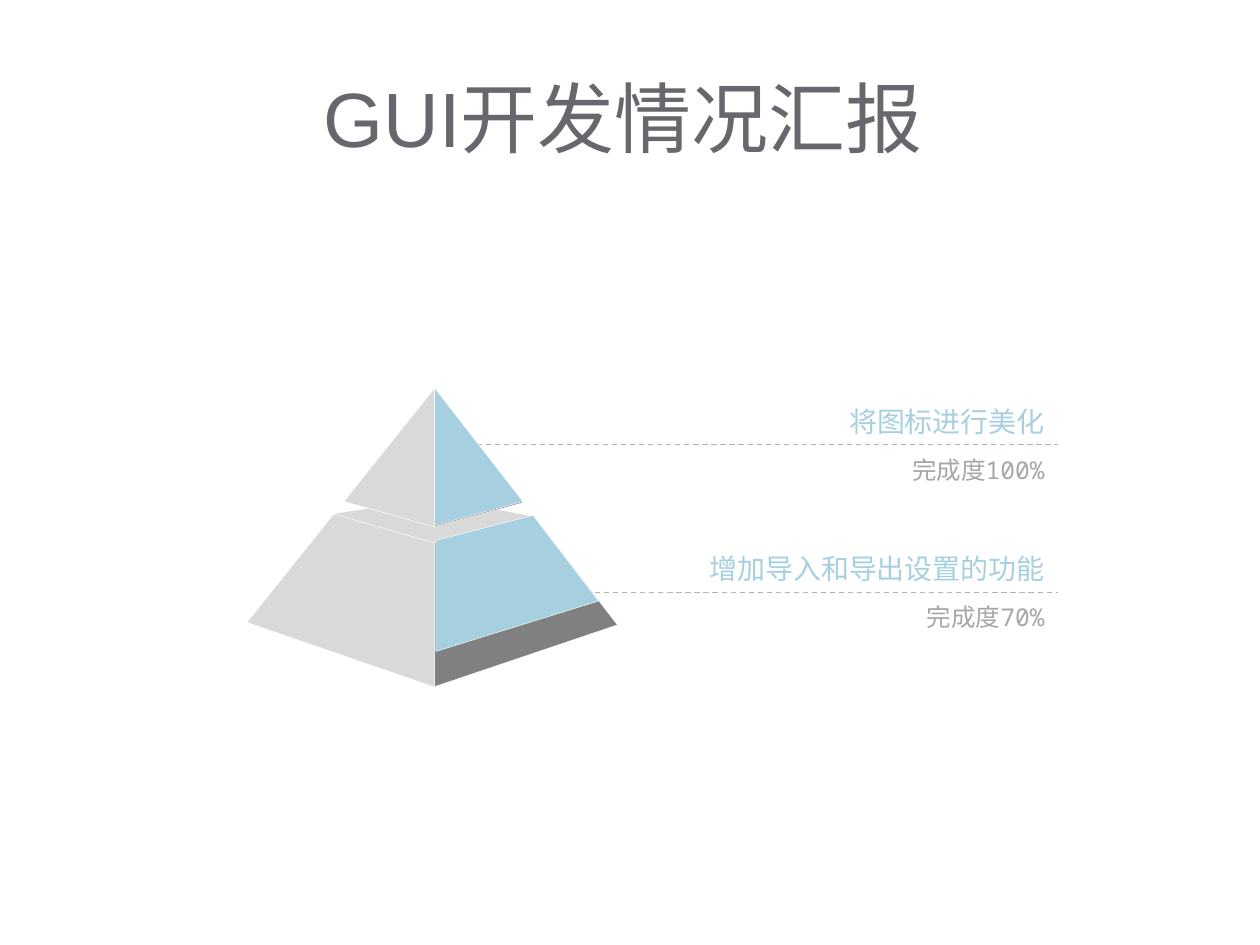
from pptx import Presentation
from pptx import util as u
from pptx.dml.color import RGBColor
from pptx.enum import dml, shapes, text
from pptx.oxml.ns import qn
from lxml import etree

TITLE = "GUI开发情况汇报"
LIGHT, DARK, BLUE, WHITE = "D9D9D9", "808080", "A6D0DF", "FFFFFF"
RULE, STATUS, HEADING = "B2B2B2", "A6A6A6", "69676D"

BASE_FACES = [
    (LIGHT, None, [(2.65, 4.08), (3.45, 4.31), (4.23, 4.1), (3.45, 3.95)]),
    (LIGHT, WHITE, [(3.45, 4.31), (2.65, 4.08), (1.96, 4.94), (3.44, 5.45), (3.45, 5.45)]),
    (DARK, WHITE, [(4.23, 4.09), (3.45, 4.31), (3.45, 5.45), (4.9, 4.96)]),
    (DARK, WHITE, [(4.15, 3.99), (3.45, 3.08), (3.45, 4.18)]),
    (LIGHT, WHITE, [(2.73, 3.98), (3.44, 4.18), (3.45, 4.17), (3.45, 3.08)]),
]
PROGRESS_FACES = [
    (BLUE, WHITE, [(4.15, 3.98), (3.45, 3.08), (3.45, 4.17)]),
    (BLUE, WHITE, [(4.23, 4.09), (3.46, 4.29), (3.46, 5.17), (4.75, 4.77)]),
]
TASKS = [
    ("增加导入和导出设置的功能", "完成度70%", 4.15, 4.7),
    ("将图标进行美化", "完成度100%", 3.64, 3.53),
]
RULE_END = 8.4
LABEL_LEFT, LABEL_WIDTH = 5.06, 3.33


def color(value):
    return RGBColor.from_string(value)


def add_face(slide, fill, edge, corners):
    points = [(u.Inches(x), u.Inches(y)) for x, y in corners]
    builder = slide.shapes.build_freeform(*points[0])
    builder.add_line_segments(points[1:], close=True)
    face = builder.convert_to_shape()
    face.shadow.inherit = False
    face.fill.solid()
    face.fill.fore_color.rgb = color(fill)
    if edge:
        face.line.color.rgb = color(edge)
        face.line.width = u.Pt(0.25)
    else:
        face.line.fill.background()


def add_rule(slide, left, y):
    rule = slide.shapes.add_connector(
        shapes.MSO_CONNECTOR.STRAIGHT,
        u.Inches(left), u.Inches(y), u.Inches(RULE_END), u.Inches(y))
    rule.line.color.rgb = color(RULE)
    rule.line.width = u.Pt(0.75)
    rule.line.dash_style = dml.MSO_LINE.DASH
    etree.SubElement(rule._element.spPr, qn("a:effectLst"))


def add_label(slide, words, box, size, font, ink, align, anchor):
    label = slide.shapes.add_textbox(*(u.Inches(v) for v in box))
    frame = label.text_frame
    frame.word_wrap = True
    frame.vertical_anchor = anchor
    paragraph = frame.paragraphs[0]
    paragraph.alignment = align
    run = paragraph.add_run()
    run.text = words
    run.font.size = u.Pt(size)
    run.font.name = font
    run.font.color.rgb = color(ink)


def main():
    deck = Presentation()
    deck.slide_width, deck.slide_height = u.Inches(10), u.Inches(7.5)
    slide = deck.slides.add_slide(deck.slide_layouts[6])
    align, anchor = text.PP_ALIGN, text.MSO_ANCHOR

    for face in BASE_FACES:
        add_face(slide, *face)
    for task, status, rule_left, y in TASKS:
        add_rule(slide, rule_left, y)
        add_label(slide, task, (LABEL_LEFT, y - 0.37, LABEL_WIDTH, 0.37),
                  16, "Arial", BLUE, align.RIGHT, anchor.TOP)
        add_label(slide, status, (LABEL_LEFT, y + 0.02, LABEL_WIDTH, 0.35),
                  14, "Noto Sans Mono", STATUS, align.RIGHT, anchor.MIDDLE)
    add_label(slide, TITLE, (0.45, 0.3, 9, 1.25),
              44, "Arial", HEADING, align.CENTER, anchor.MIDDLE)
    for face in PROGRESS_FACES:
        add_face(slide, *face)

    deck.save("out.pptx")


if __name__ == "__main__":
    main()
